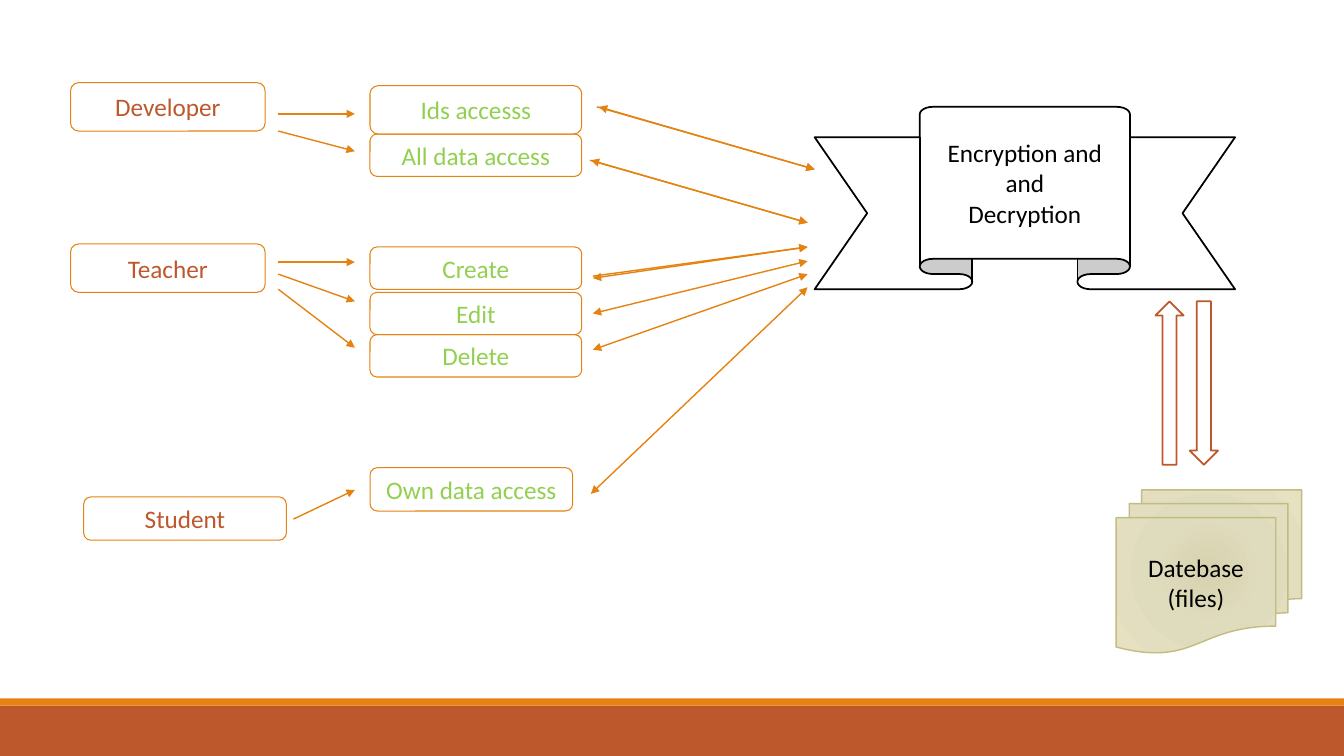
from pptx import Presentation
from pptx.dml.color import RGBColor
from pptx.enum.shapes import MSO_CONNECTOR, MSO_SHAPE
from pptx.enum.text import MSO_ANCHOR, PP_ALIGN
from pptx.oxml import parse_xml
from pptx.oxml.ns import nsdecls, qn
from pptx.util import Inches, Pt
from lxml import etree

RECTANGLE = MSO_SHAPE.RECTANGLE
ROUNDED = MSO_SHAPE.ROUNDED_RECTANGLE
RIBBON = MSO_SHAPE.UP_RIBBON
DOCUMENTS = MSO_SHAPE.FLOWCHART_MULTIDOCUMENT
UP_ARROW = MSO_SHAPE.UP_ARROW
STRAIGHT = MSO_CONNECTOR.STRAIGHT
CENTER = PP_ALIGN.CENTER
MIDDLE = MSO_ANCHOR.MIDDLE

THEME = {
    "font": "Calibri", "size": 18,
    "rust": "BD582C", "orange": "E48312", "green": "92D050",
    "black": "000000", "white": "FFFFFF", "khaki": "C2BC80",
    "paper": [(0, "D7D3AF"), (45, "DFDBBD"), (100, "E5E1C1")],
    "box_line": 0.75, "link_line": 1, "bold_line": 1.25,
}

FOOTER_BANDS = [(7, 0.5, "rust"), (6.93, 0.07, "orange")]

ROLES = [
    ("Developer", 0.7, 0.82, 1.93, 0.48),
    ("Teacher", 0.7, 2.42, 1.93, 0.48),
    ("Student", 0.83, 4.93, 2.01, 0.43),
]

RIGHTS_LEFT = 3.67
RIGHTS = [
    ("Ids accesss", 0.85, 2.1, 0.48),
    ("All data access", 1.33, 2.1, 0.42),
    ("Create", 2.45, 2.1, 0.42),
    ("Edit", 2.9, 2.1, 0.42),
    ("Delete", 3.32, 2.1, 0.42),
    ("Own data access", 4.64, 2.01, 0.43),
]

ROLE_LINKS_END = 3.52
ROLE_LINKS = [
    (2.76, 1.13, 1.13), (2.76, 1.3, 1.5),
    (2.76, 2.6, 2.6), (2.76, 2.72, 2.99), (2.76, 2.87, 3.45),
    (2.91, 5.15, 4.86),
]
ONE_WAY_LINKS = [
    (5.92, 1.06, 8.08, 1.68),
    (5.85, 1.59, 8.01, 2.21),
    (5.88, 2.74, 8.01, 2.45),
]
TWO_WAY_LINKS = [
    (5.94, 1.06, 8.08, 1.68),
    (5.86, 1.59, 8.01, 2.21),
    (5.88, 2.76, 8.01, 2.45),
    (5.88, 3.11, 8.01, 2.59),
    (5.88, 3.47, 8.01, 2.72),
    (5.86, 4.9, 8.01, 2.85),
]

CIPHER = (["Encryption and and", "Decryption"], (8.08, 1.06, 4.17, 1.81))
DATABASE = (["Datebase", "(files)"], (11.07, 4.86, 1.84, 1.62))
DATABASE_ARROWS = [(11.46, 0), (11.8, 180)]


def color(name):
    return RGBColor.from_string(THEME[name])


def add_block(slide, kind, box, fill=None, line=None, width=0):
    shape = slide.shapes.add_shape(kind, *map(Inches, box))
    shape.shadow.inherit = False
    if fill:
        shape.fill.solid()
        shape.fill.fore_color.rgb = color(fill)
    else:
        shape.fill.background()
    if line:
        shape.line.color.rgb = color(line)
        shape.line.width = Pt(width)
    else:
        shape.line.fill.background()
    return shape


def write(shape, lines, ink):
    frame = shape.text_frame
    frame.word_wrap = True
    frame.vertical_anchor = MIDDLE
    for index, text in enumerate(lines):
        paragraph = frame.add_paragraph() if index else frame.paragraphs[0]
        paragraph.alignment = CENTER
        run = paragraph.add_run()
        run.text = text
        run.font.name = THEME["font"]
        run.font.size = Pt(THEME["size"])
        run.font.color.rgb = color(ink)


def add_label(slide, text, box, ink):
    shape = add_block(slide, ROUNDED, box, None, "orange", THEME["box_line"])
    write(shape, [text], ink)


def add_link(slide, ends, arrowheads):
    link = slide.shapes.add_connector(STRAIGHT, *map(Inches, ends))
    link.line.color.rgb = color("orange")
    link.line.width = Pt(THEME["link_line"])
    outline = link.line._get_or_add_ln()
    for arrowhead in arrowheads:
        etree.SubElement(outline, qn(f"a:{arrowhead}")).set("type", "triangle")
    etree.SubElement(link._element.spPr, qn("a:effectLst"))


def paint_paper(shape):
    stops = "".join(
        f'<a:gs pos="{position * 1000}"><a:srgbClr val="{value}"/></a:gs>'
        for position, value in THEME["paper"]
    )
    gradient = parse_xml(
        f'<a:gradFill {nsdecls("a")} rotWithShape="1"><a:gsLst>{stops}</a:gsLst>'
        '<a:path path="circle"><a:fillToRect l="100000" t="100000" '
        'r="100000" b="100000"/></a:path></a:gradFill>'
    )
    properties = shape._element.spPr
    properties.replace(properties.find(qn("a:noFill")), gradient)


def main():
    presentation = Presentation()
    presentation.slide_width = Inches(13.33)
    presentation.slide_height = Inches(7.5)
    slide = presentation.slides.add_slide(presentation.slide_layouts[6])

    for top, height, fill in FOOTER_BANDS:
        add_block(slide, RECTANGLE, (0, top, 13.33, height), fill)
    for text, *box in ROLES:
        add_label(slide, text, box, "rust")
    for text, *box in RIGHTS:
        add_label(slide, text, (RIGHTS_LEFT, *box), "green")

    lines, box = CIPHER
    ribbon = add_block(slide, RIBBON, box, "white", "black", THEME["bold_line"])
    write(ribbon, lines, "black")

    for left, start, end in ROLE_LINKS:
        add_link(slide, (left, start, ROLE_LINKS_END, end), ["tailEnd"])
    for ends in ONE_WAY_LINKS:
        add_link(slide, ends, ["tailEnd"])
    for ends in TWO_WAY_LINKS:
        add_link(slide, ends, ["headEnd", "tailEnd"])

    lines, box = DATABASE
    files = add_block(slide, DOCUMENTS, box, None, "khaki", THEME["link_line"])
    paint_paper(files)
    write(files, lines, "black")

    for left, rotation in DATABASE_ARROWS:
        arrow = add_block(slide, UP_ARROW, (left, 2.99, 0.28, 1.62),
                          "white", "rust", THEME["bold_line"])
        arrow.rotation = rotation

    presentation.save("out.pptx")


if __name__ == "__main__":
    main()
